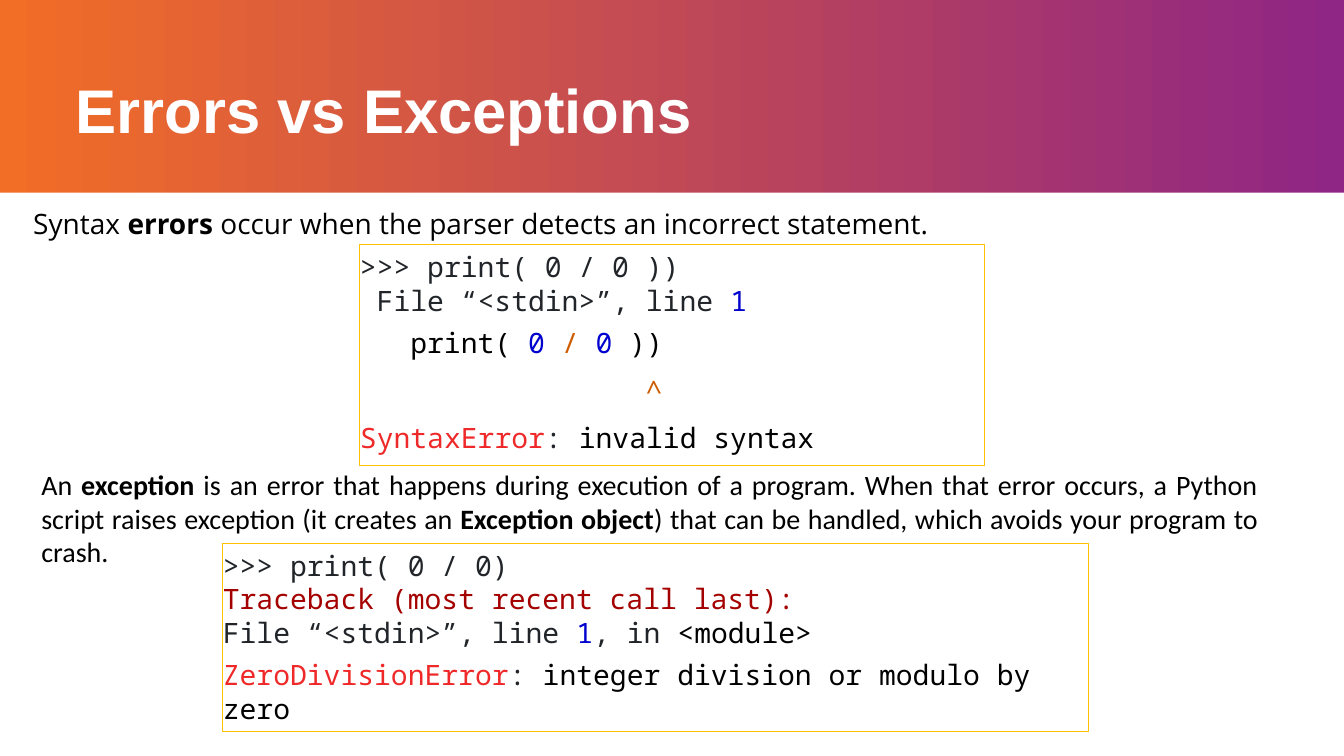
from dataclasses import dataclass

from pptx import Presentation
from pptx import util as u
from pptx.dml.color import RGBColor
from pptx.enum import shapes, text

BLACK, WHITE, INK = "000000", "FFFFFF", "212529"
BLUE, ORANGE, RED, DARK_RED, GOLD = "0000CF", "CE5C00", "EF2929", "A40000", "FFC000"
CODE_FONT = "Noto Sans Mono"
CHAR_WIDTH = 1 / 6


@dataclass
class Run:
    text: str
    color: str = BLACK
    bold: bool = False


@dataclass
class Line:
    runs: list[Run]
    before: float = 0
    indent: int = 0


@dataclass
class Block:
    box: tuple[float, float, float, float]
    lines: list[Line]
    font: str = CODE_FONT
    align: text.PP_ALIGN = text.PP_ALIGN.LEFT
    framed: bool = False


def rgb(color: str) -> RGBColor:
    return RGBColor.from_string(color)


def place(sp, box: tuple[float, float, float, float]) -> None:
    sp.left, sp.top, sp.width, sp.height = map(u.Inches, box)


def add_rect(s, box: tuple[float, float, float, float]):
    sp = s.shapes.add_shape(shapes.MSO_SHAPE.RECTANGLE, *map(u.Inches, box))
    sp.shadow.inherit = False
    return sp


def write(p, content: str, *, font: str, size: float = 20,
          color: str = BLACK, bold: bool = False) -> None:
    r = p.add_run()
    r.text = content
    r.font.name, r.font.size, r.font.bold = font, u.Pt(size), bold
    r.font.color.rgb = rgb(color)


def format_frame(tf, anchor: text.MSO_ANCHOR = text.MSO_ANCHOR.TOP) -> None:
    tf.word_wrap = True
    tf.auto_size = text.MSO_AUTO_SIZE.NONE
    tf.vertical_anchor = anchor
    tf.margin_left = 0
    tf.margin_right = u.Inches(0.1)
    tf.margin_top = tf.margin_bottom = u.Inches(0.05)


def add_block(s, block: Block) -> None:
    if block.framed:
        sp = add_rect(s, block.box)
        sp.fill.background()
        sp.line.color.rgb = rgb(GOLD)
        sp.line.width = u.Pt(0.75)
    else:
        sp = s.shapes.add_textbox(*map(u.Inches, block.box))
    tf = sp.text_frame
    format_frame(tf)
    for i, line in enumerate(block.lines):
        p = tf.add_paragraph() if i else tf.paragraphs[0]
        p.alignment = block.align
        p.space_before = u.Pt(line.before)
        if line.indent:
            p._p.get_or_add_pPr().set("marL", str(u.Inches(line.indent * CHAR_WIDTH)))
        for run in line.runs:
            write(p, run.text, font=block.font, color=run.color, bold=run.bold)


BLOCKS = [
    Block((0.33, 2, 11.83, 0.46), [Line([
        Run("Syntax "),
        Run("errors ", bold=True),
        Run("occur when the parser detects an incorrect statement."),
    ])], font="Open Sans"),
    Block((3.57, 2.43, 6.19, 2.19), [
        Line([Run(">>> print( 0 / 0 ))", INK)]),
        Line([Run("File “<stdin>”, line ", INK), Run("1", BLUE)], indent=1),
        Line([Run("print( "), Run("0 ", BLUE), Run("/ ", ORANGE),
              Run("0 ", BLUE), Run("))")], before=6, indent=3),
        Line([Run("^", ORANGE)], before=10, indent=17),
        Line([Run("SyntaxError", RED), Run(": ", INK),
              Run("invalid syntax")], before=10),
    ], framed=True),
    Block((0.41, 4.59, 12.17, 0.99), [Line([
        Run("An "),
        Run("exception", bold=True),
        Run(" is an error that happens during execution of a program. When that "
            "error occurs, a Python script raises exception (it creates an "),
        Run("Exception object", bold=True),
        Run(") that can be handled, which avoids your program to crash."),
    ])], font="Calibri", align=text.PP_ALIGN.JUSTIFY),
    Block((2.21, 5.39, 8.59, 1.87), [
        Line([Run(">>> print( 0 / 0)", INK)]),
        Line([Run("Traceback (most recent call last):", DARK_RED)]),
        Line([Run("File “<stdin>”, line ", INK), Run("1", BLUE),
              Run(", in ", INK), Run("<module>")]),
        Line([Run("ZeroDivisionError", RED), Run(": ", INK),
              Run("integer division or modulo by zero")], before=6),
    ], framed=True),
]


def main() -> None:
    prs = Presentation()
    prs.slide_width, prs.slide_height = u.Inches(13.33), u.Inches(7.5)
    s = prs.slides.add_slide(prs.slide_layouts[5])

    fill = s.background.fill
    fill.gradient()
    fill.gradient_angle = 180
    for stop, color in zip(fill.gradient_stops, ("8F2585", "F26D26")):
        stop.color.rgb = rgb(color)

    panel = add_rect(s, (0, 1.91, 13.33, 5.59))
    panel.fill.solid()
    panel.fill.fore_color.rgb = rgb(WHITE)
    panel.line.fill.background()

    title = s.shapes.title
    place(title, (0.75, 0.75, 11.83, 0.75))
    format_frame(title.text_frame, text.MSO_ANCHOR.MIDDLE)
    p = title.text_frame.paragraphs[0]
    p.alignment = text.PP_ALIGN.LEFT
    p.line_spacing = 0.9
    write(p, "Errors vs Exceptions", font="Arial", size=44, color=WHITE, bold=True)

    for block in BLOCKS:
        add_block(s, block)
    prs.save("out.pptx")


if __name__ == "__main__":
    main()
